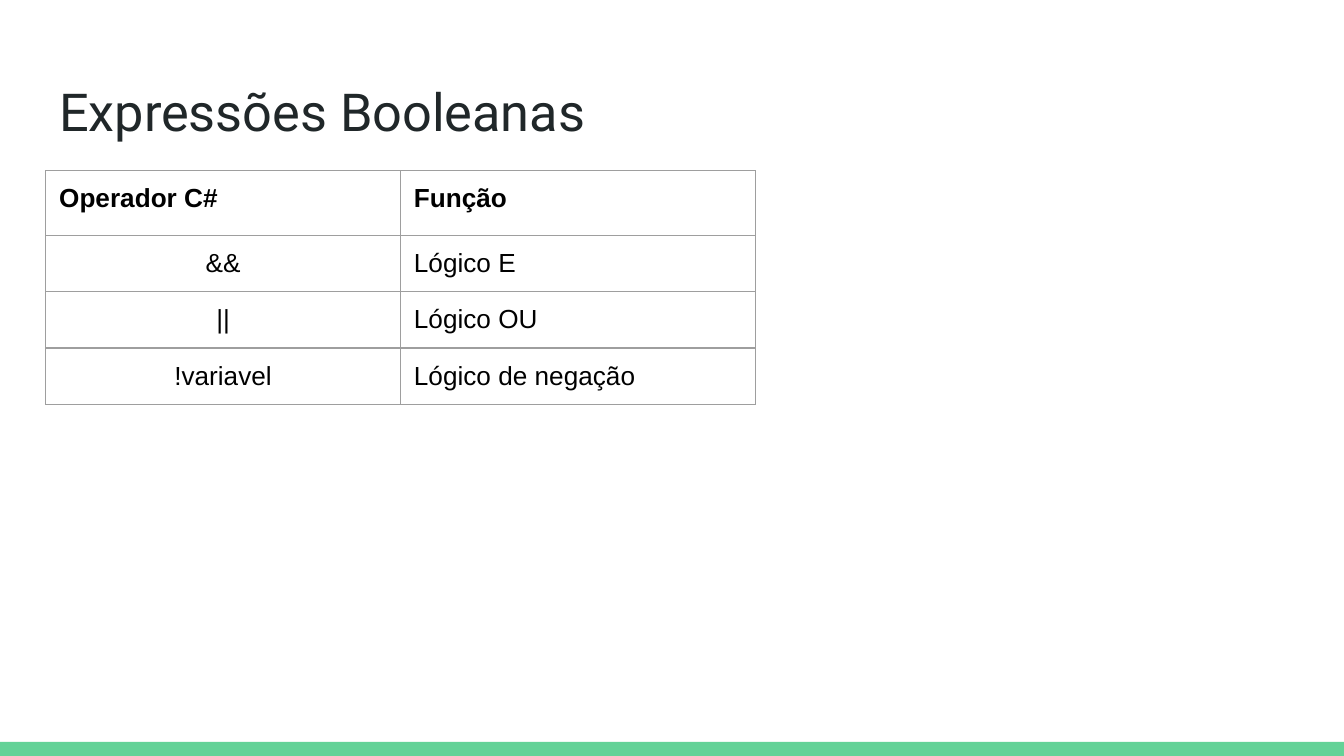
"""Build a slide with a table of C# boolean operators."""
import lxml.etree
import pptx
import pptx.dml.color
import pptx.enum.shapes
import pptx.enum.text
import pptx.oxml.ns
import pptx.util

Inches = pptx.util.Inches
Pt = pptx.util.Pt
RGB = pptx.dml.color.RGBColor.from_string
ALIGN = pptx.enum.text.PP_ALIGN
qn = pptx.oxml.ns.qn

TITLE = "Expressões Booleanas"
ROWS = [
    ("Operador C#", "Função"),
    ("&&", "Lógico E"),
    ("||", "Lógico OU"),
    ("!variavel", "Lógico de negação"),
]
THEME = {
    "title": {"font": "Roboto", "size": 28, "color": "202729"},
    "cell": {"font": "Arial", "size": 14, "color": "000000"},
    "accent": "63D297",
    "border": "9E9E9E",
    "border_width": 0.75,
}
WIDTH = 10
HEIGHT = WIDTH * 9 / 16
LEFT, TABLE_TOP = 0.34, 1.27
COLUMN_WIDTH, HEADER_HEIGHT, ROW_HEIGHT = 2.64, 0.48, 0.42
BAR_TOP, BAR_HEIGHT = 5.52, 0.11
INSET = 0.1


def add_text(tf, text, style, align=ALIGN.LEFT, bold=False):
    p = tf.paragraphs[0]
    p.alignment = align
    r = p.add_run()
    r.text = text
    r.font.name = style["font"]
    r.font.size = Pt(style["size"])
    r.font.color.rgb = RGB(style["color"])
    r.font.bold = bold


def set_margins(box):
    box.margin_left = box.margin_right = Inches(INSET)
    box.margin_top = box.margin_bottom = Inches(INSET)


def set_borders(cell):
    tc_pr = cell._tc.get_or_add_tcPr()
    for i, side in enumerate(("lnL", "lnR", "lnT", "lnB")):
        ln = lxml.etree.Element(qn(f"a:{side}"), w=str(Pt(THEME["border_width"])))
        fill = lxml.etree.SubElement(ln, qn("a:solidFill"))
        lxml.etree.SubElement(fill, qn("a:srgbClr"), val=THEME["border"])
        tc_pr.insert(i, ln)


def add_bar(slide):
    sp = slide.shapes.add_shape(
        pptx.enum.shapes.MSO_SHAPE.RECTANGLE,
        0, Inches(BAR_TOP), Inches(WIDTH), Inches(BAR_HEIGHT))
    sp.shadow.inherit = False
    sp.fill.solid()
    sp.fill.fore_color.rgb = RGB(THEME["accent"])
    sp.line.fill.background()


def add_title(slide):
    sp = slide.shapes.title
    sp.left, sp.top = Inches(LEFT), Inches(0.49)
    sp.width, sp.height = Inches(WIDTH - 2 * LEFT), Inches(0.63)
    tf = sp.text_frame
    tf.word_wrap = True
    tf.auto_size = pptx.enum.text.MSO_AUTO_SIZE.NONE
    tf.vertical_anchor = pptx.enum.text.MSO_ANCHOR.TOP
    set_margins(tf)
    add_text(tf, TITLE, THEME["title"])


def add_operators(slide):
    heights = [HEADER_HEIGHT] + [ROW_HEIGHT] * (len(ROWS) - 1)
    columns = len(ROWS[0])
    table = slide.shapes.add_table(
        len(ROWS), columns, Inches(LEFT), Inches(TABLE_TOP),
        Inches(columns * COLUMN_WIDTH), Inches(sum(heights))).table
    table.first_row = table.horz_banding = False
    for column in table.columns:
        column.width = Inches(COLUMN_WIDTH)
    for i, (row, height) in enumerate(zip(ROWS, heights)):
        table.rows[i].height = Inches(height)
        for j, text in enumerate(row):
            cell = table.cell(i, j)
            set_margins(cell)
            cell.fill.background()
            set_borders(cell)
            align = ALIGN.CENTER if i > 0 and j == 0 else ALIGN.LEFT
            add_text(cell.text_frame, text, THEME["cell"], align, i == 0)


def main():
    prs = pptx.Presentation()
    prs.slide_width, prs.slide_height = Inches(WIDTH), Inches(HEIGHT)
    slide = prs.slides.add_slide(prs.slide_layouts[5])
    add_bar(slide)
    add_title(slide)
    add_operators(slide)
    prs.save("out.pptx")


if __name__ == "__main__":
    main()
